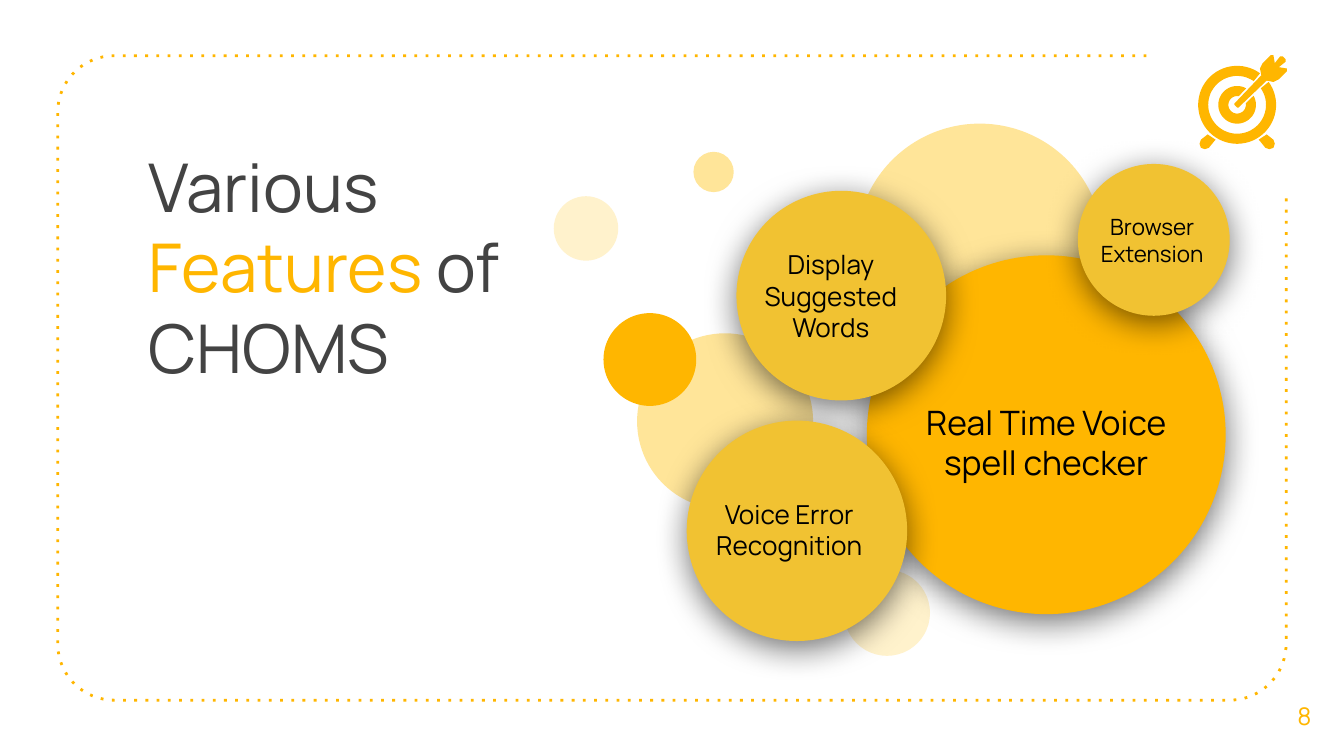
import math
from collections import namedtuple

import pptx
import pptx.dml.color
import pptx.enum.dml
import pptx.enum.shapes
import pptx.enum.text
import pptx.oxml
import pptx.oxml.ns
import pptx.util

COLUMNS, ROWS = 100, 56.25
CELL = pptx.util.Inches(0.1)
FONT = "Manrope"
AMBER, GOLD, SAND, CREAM = "FFB600", "F1C232", "FFE599", "FFF2CC"
INK, BLACK = "434343", "000000"
ALIGN = pptx.enum.text.PP_ALIGN
ANCHOR = pptx.enum.text.MSO_ANCHOR

Box = namedtuple("Box", "left top width height")


def color(hex_code):
    """Turn a hex string into a colour."""
    return pptx.dml.color.RGBColor.from_string(hex_code)


def cells(*counts):
    """Turn counts of grid cells into lengths."""
    return [round(count * CELL) for count in counts]


def inner(box, left, top, width, height):
    """Place a box by its offset from the corner of another."""
    return Box(box.left + left, box.top + top, width, height)


def share(box, left, top, width, height):
    """Place a box by its shares of another."""
    return inner(box, left * box.width, top * box.height, width * box.width, height * box.height)


def arc(x, y, radius, start, end, steps=24):
    """List the points of an arc, with angles in degrees."""
    angles = [math.radians(start + (end - start) * step / steps) for step in range(steps + 1)]
    return [(x + radius * math.cos(angle), y + radius * math.sin(angle)) for angle in angles]


def add_text(slide, box, runs, size=14, align=ALIGN.CENTER, anchor=ANCHOR.MIDDLE):
    """Write one paragraph of (wording, colour) runs in a box."""
    frame = slide.shapes.add_textbox(*cells(*box)).text_frame
    frame.word_wrap = True
    frame.vertical_anchor = anchor
    frame.margin_left = frame.margin_right = frame.margin_top = frame.margin_bottom = CELL
    paragraph = frame.paragraphs[0]
    paragraph.alignment = align
    for wording, hex_code in runs:
        run = paragraph.add_run()
        run.text = wording
        run.font.name = FONT
        run.font.size = pptx.util.Pt(size)
        run.font.color.rgb = color(hex_code)


def paint(shape, fill):
    """Give a shape a plain fill without line or shadow."""
    shape.shadow.inherit = False
    shape.fill.solid()
    shape.fill.fore_color.rgb = color(fill)
    shape.line.fill.background()


def add_outline(slide, points, closed=True):
    """Draw a freeform through points given in grid cells."""
    corners = [cells(*point) for point in points]
    builder = slide.shapes.build_freeform(*corners[0])
    builder.add_line_segments(corners[1:], close=closed)
    return builder.convert_to_shape()


def add_circle(slide, box, fill):
    """Draw a plain circle."""
    circle = slide.shapes.add_shape(pptx.enum.shapes.MSO_SHAPE.OVAL, *cells(*box))
    paint(circle, fill)
    return circle


def cast_shadow(shape):
    """Add a soft shadow below a shape."""
    effects = shape._element.spPr.find(pptx.oxml.ns.qn("a:effectLst"))
    effects.append(pptx.oxml.parse_xml(
        f'<a:outerShdw {pptx.oxml.ns.nsdecls("a")} blurRad="{pptx.util.Pt(18)}" '
        f'dist="{pptx.util.Pt(4)}" dir="5400000" algn="bl" rotWithShape="0">'
        f'<a:srgbClr val="{BLACK}"><a:alpha val="55000"/></a:srgbClr></a:outerShdw>'))


def draw_frame(slide, box, radius=4.2):
    """Draw the dotted frame, open at its top right corner."""
    right, bottom = box.left + box.width, box.top + box.height
    near_left, near_right = box.left + radius, right - radius
    near_top, near_bottom = box.top + radius, bottom - radius
    points = [(right - 10.4, box.top)]
    points += arc(near_left, near_top, radius, 270, 180)
    points += arc(near_left, near_bottom, radius, 180, 90)
    points += arc(near_right, near_bottom, radius, 90, 0)
    points.append((right, box.top + 10.4))
    frame = add_outline(slide, points, closed=False)
    frame.shadow.inherit = False
    frame.fill.background()
    frame.line.color.rgb = color(AMBER)
    frame.line.width = pptx.util.Pt(1.5)
    frame.line.dash_style = pptx.enum.dml.MSO_LINE.ROUND_DOT
    for dash in frame._element.spPr.iter(pptx.oxml.ns.qn("a:prstDash")):
        dash.set("val", "dot")


def draw_backdrop(slide, box):
    """Scatter the plain circles behind the features."""
    for left, top, size, fill in [
        (21.6, 33.2, 6.4, CREAM),
        (0, 5.4, 4.8, CREAM),
        (6.2, 15.6, 13.1, SAND),
        (22.5, 0, 18.4, SAND),
        (3.7, 14.1, 6.9, AMBER),
        (10.4, 2.1, 3, SAND),
    ]:
        add_circle(slide, inner(box, left, top, size, size), fill)


def draw_features(slide, box):
    """Draw the shadowed bubbles with the feature names."""
    for feature, left, top, diameter, fill, size, label in [
        ("Real Time Voice spell checker", 23.3, 9.8, 26.7, AMBER, 18, (0.12, 0.28, 0.76, 0.48)),
        ("Display Suggested Words", 13.6, 5, 15.6, GOLD, 14, (0.06, 0.17, 0.78, 0.66)),
        ("Voice Error Recognition", 9.9, 22.1, 16.4, GOLD, 14, (0.07, 0.18, 0.79, 0.63)),
        ("Browser Extension", 39, 3, 11.3, GOLD, 12, (0.06, 0.17, 0.86, 0.66)),
    ]:
        bubble = inner(box, left, top, diameter, diameter)
        cast_shadow(add_circle(slide, bubble, fill))
        add_text(slide, share(bubble, *label), [(feature, BLACK)], size=size)


def draw_target(slide, box):
    """Draw the target icon: two open rings, two feet and a dart."""
    x, y = box.left + box.width / 2, box.top + box.height / 2
    outlines = []
    for outer, hole, outer_gap, hole_gap in [(2.9, 2.15, 9, 10), (1.4, 0.65, 16, 35)]:
        outlines.append(arc(0, 0, outer, outer_gap - 45, 315 - outer_gap, 60)
                        + arc(0, 0, hole, 315 - hole_gap, hole_gap - 45, 60))
    foot = [(-2.2, 2.2), (-2.7, 2.6), (-2.8, 2.9), (-2.7, 3.2), (-2.4, 3.3),
            (-2.1, 3.2), (-1.7, 2.7), (-1.6, 2.6), (-1.9, 2.4)]
    outlines += [foot, [(-across, down) for across, down in foot]]
    half_dart = [(-0.2, 0), (-0.2, -0.1), (1.8, -2.2), (1.7, -2.7), (1.9, -3.1), (2.5, -3.7),
                 (2.7, -3.7), (2.8, -3.1), (3.2, -3.6), (3.4, -3.6)]
    outlines.append(half_dart + [(-down, -across) for across, down in reversed(half_dart)])
    for outline in outlines:
        paint(add_outline(slide, [(x + across, y + down) for across, down in outline]), AMBER)


def build_slide(slide, page):
    """Lay out all regions of the slide."""
    bubbles = inner(page, 41.2, 9.2, 50.3, 39.6)
    draw_frame(slide, inner(page, 4.3, 4.15, 91.4, 47.95))
    add_text(slide, inner(page, 10.1, 9.8, 29.7, 26.7),
             [("Various ", INK), ("Features", AMBER), (" of CHOMS", INK)],
             size=36, align=ALIGN.LEFT, anchor=ANCHOR.TOP)
    add_text(slide, inner(page, 94.1, 50.25, 5.9, 6), [("8", AMBER)], size=13)
    draw_backdrop(slide, bubbles)
    draw_features(slide, bubbles)
    draw_target(slide, inner(page, 88.35, 4.1, 7.4, 7.4))


def main():
    """Create and save the deck."""
    deck = pptx.Presentation()
    deck.slide_width, deck.slide_height = cells(COLUMNS, ROWS)
    build_slide(deck.slides.add_slide(deck.slide_layouts[6]), Box(0, 0, COLUMNS, ROWS))
    deck.save("out.pptx")


if __name__ == "__main__":
    main()
